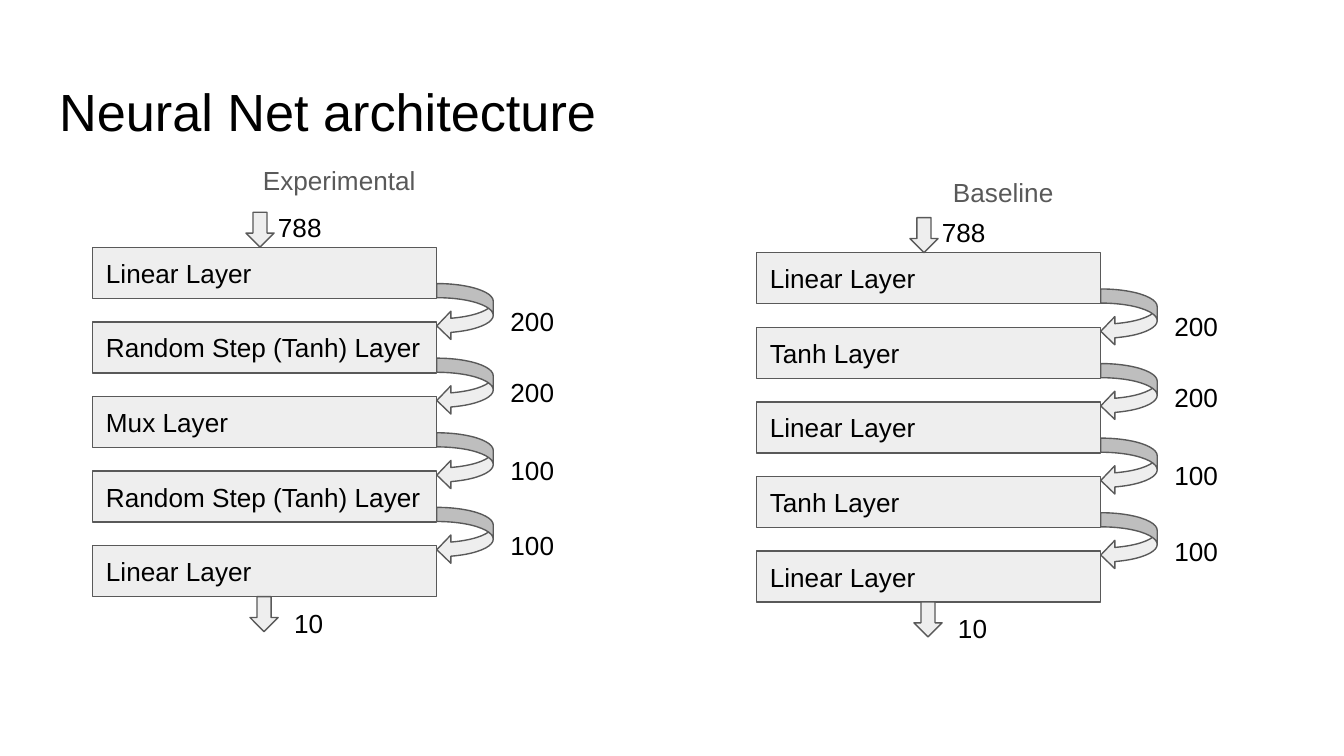
from dataclasses import dataclass

from pptx import Presentation
from pptx import util as u
from pptx.dml.color import RGBColor
from pptx.enum import shapes, text


@dataclass(frozen=True)
class Theme:
    font: str = "Arial"
    ink: str = "000000"
    grey: str = "595959"
    fill: str = "EEEEEE"
    title: float = 28
    body: float = 14
    line: float = 0.75


theme = Theme()
kinds = shapes.MSO_SHAPE


def write(shape, words, size=theme.body, ink=theme.ink,
          align=text.PP_ALIGN.LEFT, anchor=text.MSO_ANCHOR.TOP):
    """Put one run of text in a shape and return its paragraph."""
    frame = shape.text_frame
    frame.word_wrap = True
    frame.auto_size = text.MSO_AUTO_SIZE.NONE
    frame.vertical_anchor = anchor
    frame.margin_left = frame.margin_right = u.Inches(0.1)
    frame.margin_top = frame.margin_bottom = u.Inches(0.1)
    para = frame.paragraphs[0]
    para.alignment = align
    run = para.add_run()
    run.text = words
    run.font.name = theme.font
    run.font.size = u.Pt(size)
    run.font.color.rgb = RGBColor.from_string(ink)
    return para


def draw(kind, *box):
    """Add a grey outlined shape; box is left, top, width, height in inches."""
    shape = slide.shapes.add_shape(kind, *map(u.Inches, box))
    shape.shadow.inherit = False
    shape.fill.solid()
    shape.fill.fore_color.rgb = RGBColor.from_string(theme.fill)
    shape.line.color.rgb = RGBColor.from_string(theme.grey)
    shape.line.width = u.Pt(theme.line)
    return shape


deck = Presentation()
deck.slide_width = u.Inches(10)
deck.slide_height = deck.slide_width * 9 // 16
slide = deck.slides.add_slide(deck.slide_layouts[5])

title = slide.shapes.title
title.left, title.top = u.Inches(0.34), u.Inches(0.49)
title.width, title.height = u.Inches(9.32), u.Inches(0.63)
write(title, "Neural Net architecture", theme.title)

# Each net: heading, heading left and top, stack left and top, layers
step = "Random Step (Tanh) Layer"
nets = [
    ("Experimental", 0.34, 1.09, 0.69, 1.84,
     ["Linear Layer", step, "Mux Layer", step, "Linear Layer"]),
    ("Baseline", 5.28, 1.18, 5.63, 1.88,
     ["Linear Layer", "Tanh Layer"] * 2 + ["Linear Layer"]),
]
wide, high = 2.56, 0.38  # one layer
pitch = 2.22 / 4         # from one layer to the next

# Each count: words, offset from the left and top of the stack
counts = [("788", 1.28, -0.37), ("200", 3.01, 0.33), ("200", 3.01, 0.86),
          ("100", 3.01, 1.44), ("100", 3.01, 2.0), ("10", 1.4, 2.58)]

for name, left, top, x, y, layers in nets:
    head = slide.shapes.add_textbox(
        *map(u.Inches, (left, top, 4.37, 3.74)))
    para = write(head, name, ink=theme.grey, align=text.PP_ALIGN.CENTER)
    para.line_spacing = 1.15
    para.space_after = u.Pt(16)

    for row, layer in enumerate(layers):
        box = draw(kinds.RECTANGLE, x, y + row * pitch, wide, high)
        write(box, layer, anchor=text.MSO_ANCHOR.MIDDLE)
    for row in range(len(layers) - 1):
        draw(kinds.CURVED_LEFT_ARROW,
             x + wide, y + 0.27 + row * pitch, 0.42, 0.42)

    end = y + (len(layers) - 1) * pitch + high
    draw(kinds.DOWN_ARROW, x + 1.14, y - 0.26, 0.21, 0.26)
    draw(kinds.DOWN_ARROW, x + 1.17, end, 0.21, 0.26)

    for words, dx, dy in counts:
        note = slide.shapes.add_textbox(
            *map(u.Inches, (x + dx, y + dy, 0.67, 0.29)))
        write(note, words)

deck.save("out.pptx")
